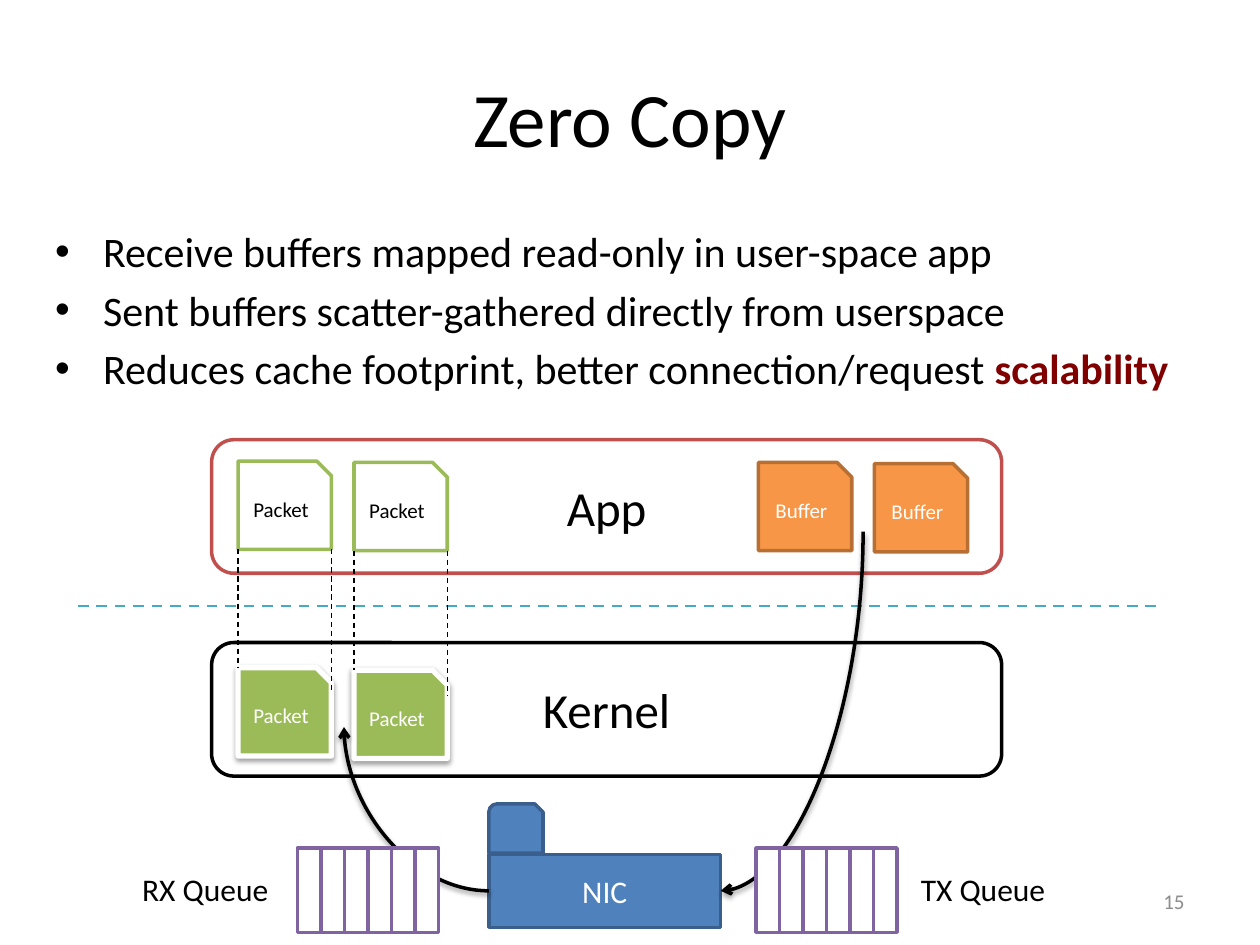
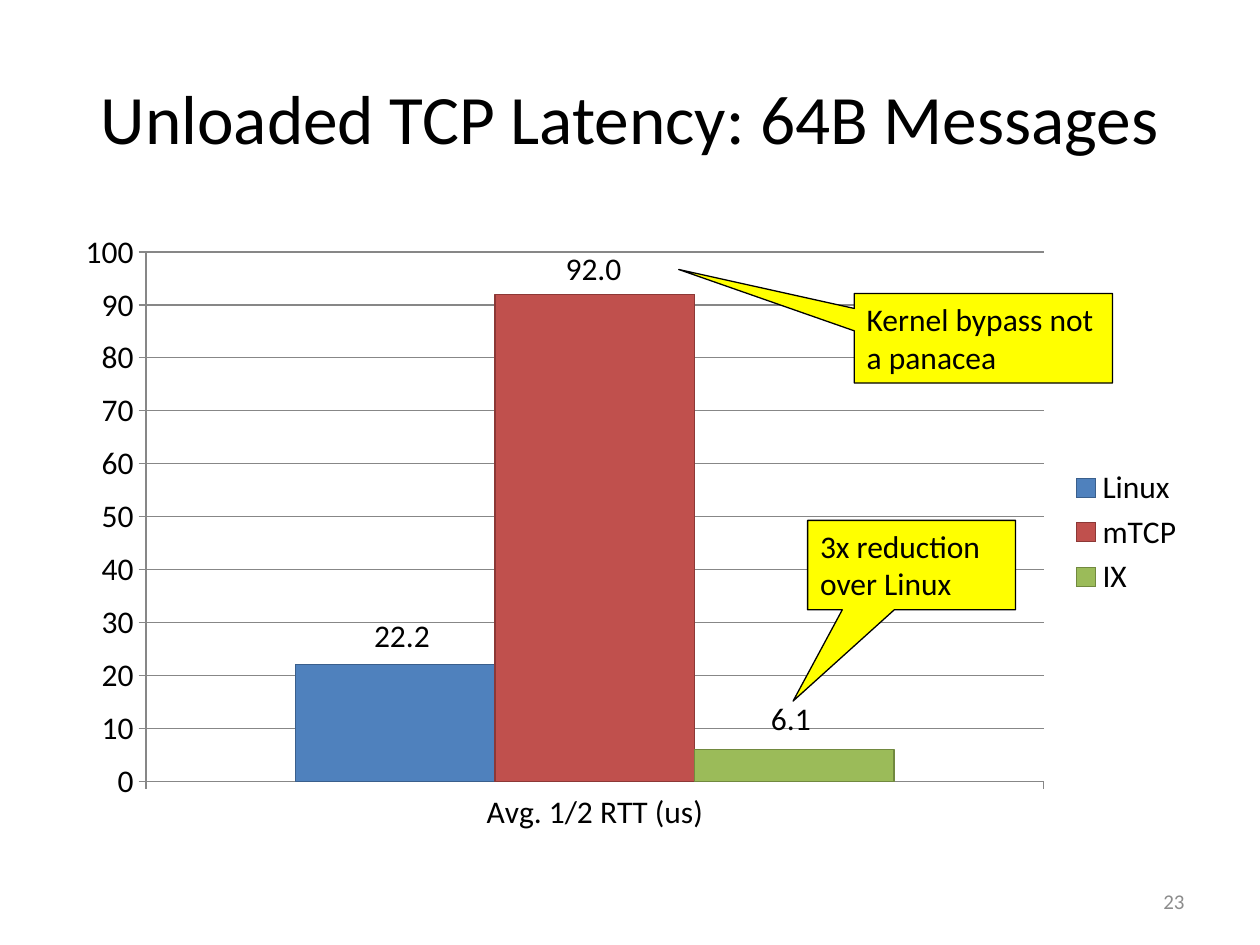
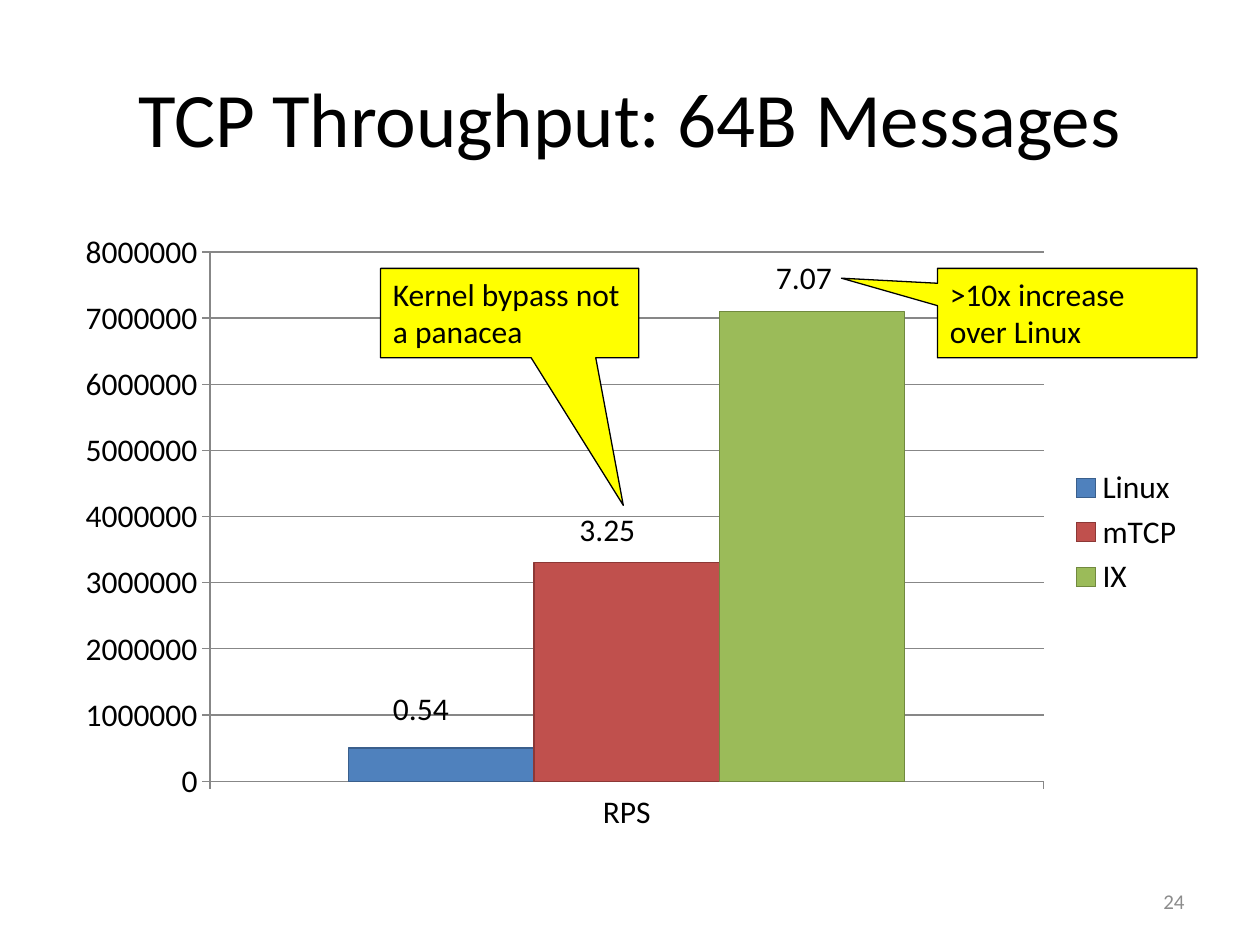
from lxml.etree import SubElement
from pptx import Presentation
from pptx.chart.data import CategoryChartData
from pptx.dml.color import RGBColor
from pptx.enum.chart import XL_CHART_TYPE, XL_LEGEND_POSITION, XL_TICK_MARK
from pptx.enum.dml import MSO_LINE
from pptx.enum.shapes import MSO_CONNECTOR, MSO_SHAPE
from pptx.enum.text import MSO_ANCHOR, MSO_AUTO_SIZE, PP_ALIGN
from pptx.oxml.ns import qn
from pptx.util import Inches, Pt

FONT = "Calibri"
BLACK, WHITE, GRAY = "000000", "FFFFFF", "8C8C8C"
BLUE, RED, GREEN = "4F81BD", "C0504D", "9BBB59"
DARK_BLUE, DARK_RED, DARK_GREEN = "3A5F8C", "8C3836", "71893F"
ORANGE, DARK_ORANGE = "F79646", "B76F34"
PURPLE, TEAL, MAROON, YELLOW = "8064A2", "46AAC5", "800000", "FFFF00"
AXIS_GRAY = "878787"

SYSTEMS = [("Linux", BLUE, DARK_BLUE), ("mTCP", RED, DARK_RED), ("IX", GREEN, DARK_GREEN)]
PACKET_SIZE = (0.74, 0.7)
QUEUE_WIDTH, QUEUE_SLOTS = 1.12, 6


def color(hex_value):
    return RGBColor.from_string(hex_value)


def inches(*lengths):
    return [Inches(length) for length in lengths]


def set_all(target, **values):
    for name, value in values.items():
        setattr(target, name, value)


def set_font(font, size, hex_value=BLACK, **values):
    set_all(font, name=FONT, size=Pt(size), **values)
    font.color.rgb = color(hex_value)


def set_line(line, hex_value, width, dash=None):
    line.color.rgb = color(hex_value)
    set_all(line, width=Pt(width), dash_style=dash)


def add_effects(shape, shadow):
    """Give the shape its own effect list, empty or with a soft shadow below."""
    properties = shape._element.spPr
    for old in properties.findall(qn("a:effectLst")):
        properties.remove(old)
    effects = SubElement(properties, qn("a:effectLst"))
    if shadow:
        outer = SubElement(effects, qn("a:outerShdw"), blurRad=str(Pt(3.1)), dist=str(Pt(1.6)),
                           dir="5400000", rotWithShape="0")
        black = SubElement(outer, qn("a:srgbClr"), val=BLACK)
        SubElement(black, qn("a:alpha"), val="38000")


def write(frame, text, size, hex_value=BLACK, align=PP_ALIGN.LEFT):
    para = frame.paragraphs[0]
    para.alignment = align
    span = para.add_run()
    span.text = text
    set_font(span.font, size, hex_value)


def add_text(page, at, text, size, hex_value=BLACK, align=PP_ALIGN.LEFT, **frame_values):
    box = page.shapes.add_textbox(*inches(*at))
    set_all(box.text_frame, **{"word_wrap": True, **frame_values})
    write(box.text_frame, text, size, hex_value, align)


def add_label(page, at, text):
    add_text(page, at, text, 18, word_wrap=False, auto_size=MSO_AUTO_SIZE.SHAPE_TO_FIT_TEXT)


def add_box(page, kind, at, fill, outline, width=2, shadow=False):
    box = page.shapes.add_shape(kind, *inches(*at))
    box.fill.solid()
    box.fill.fore_color.rgb = color(fill)
    set_line(box.line, outline, width)
    add_effects(box, shadow)
    return box


def add_named_box(page, kind, at, text, size, text_color, fill, outline, **line_values):
    box = add_box(page, kind, at, fill, outline, **line_values)
    box.text_frame.vertical_anchor = MSO_ANCHOR.MIDDLE
    write(box.text_frame, text, size, text_color, PP_ALIGN.CENTER)


def add_callout(page, at, tip, text):
    callout = add_box(page, MSO_SHAPE.RECTANGULAR_CALLOUT, at, YELLOW, BLACK, 0.75)
    for index, offset in enumerate(tip):
        callout.adjustments[index] = offset
    set_all(callout.text_frame, vertical_anchor=MSO_ANCHOR.TOP, word_wrap=True)
    write(callout.text_frame, text, 18)


def add_dashes(page, start, end, hex_value, width):
    line = page.shapes.add_connector(MSO_CONNECTOR.STRAIGHT, *inches(*start, *end))
    set_line(line.line, hex_value, width, MSO_LINE.DASH)
    add_effects(line, shadow=False)


def add_curved_arrow(page, start, end, turn):
    """Draw a quarter curve that ends in an arrow; turn is its rotation in degrees."""
    middle_x, middle_y = (start[0] + end[0]) / 2, (start[1] + end[1]) / 2
    half_width, half_height = abs(end[0] - start[0]) / 2, abs(end[1] - start[1]) / 2
    if turn % 180:
        half_width, half_height = half_height, half_width
    curve = page.shapes.add_connector(
        MSO_CONNECTOR.CURVE, *inches(middle_x - half_width, middle_y - half_height,
                                     middle_x + half_width, middle_y + half_height))
    properties = curve._element.spPr
    properties.find(qn("a:prstGeom")).set("prst", "curvedConnector2")
    properties.find(qn("a:xfrm")).set("rot", str(turn * 60000))
    set_line(curve.line, BLACK, 2)
    SubElement(properties.find(qn("a:ln")), qn("a:tailEnd"), type="arrow")
    add_effects(curve, shadow=True)


def add_bullets(page, at, items):
    """Each item is a list of (text, font values) spans."""
    frame = page.shapes.add_textbox(*inches(*at)).text_frame
    frame.word_wrap = True
    for index, spans in enumerate(items):
        para = frame.add_paragraph() if index else frame.paragraphs[0]
        properties = para._p.get_or_add_pPr()
        properties.set("marL", str(Inches(0.38)))
        properties.set("indent", str(Inches(-0.38)))
        SubElement(properties, qn("a:buFont"), typeface="Arial")
        SubElement(properties, qn("a:buChar"), char="•")
        if index:
            para.space_before = Pt(4.8)
        for text, values in spans:
            span = para.add_run()
            span.text = text
            set_font(span.font, 24, **values)


def add_queue(page, left, label, label_at):
    slot_width = QUEUE_WIDTH / QUEUE_SLOTS
    for slot in range(QUEUE_SLOTS):
        at = (left + slot * slot_width, 6.73, slot_width, 0.67)
        add_box(page, MSO_SHAPE.RECTANGLE, at, WHITE, PURPLE)
    add_label(page, label_at, label)


def add_mapped_packet(page, left, app_top, kernel_top):
    """A packet in the kernel and its mapping in the app, joined by dashes."""
    width, height = PACKET_SIZE
    kind = MSO_SHAPE.SNIP_1_RECTANGLE
    add_named_box(page, kind, (left, kernel_top, width, height), "Packet", 12,
                  WHITE, GREEN, WHITE, width=3, shadow=True)
    add_named_box(page, kind, (left, app_top, width, height), "Packet", 12, BLACK, WHITE, GREEN)
    for x, bottom in ((left, kernel_top), (left + width, kernel_top + 0.2)):
        add_dashes(page, (x, app_top + height), (x, bottom), BLACK, 0.75)


def add_system_chart(page, category, values, top, step):
    data = CategoryChartData()
    data.categories = [category]
    for (name, _, _), value in zip(SYSTEMS, values):
        data.add_series(name, [value])
    chart = page.shapes.add_chart(XL_CHART_TYPE.COLUMN_CLUSTERED,
                                  *inches(0.5, 1.75, 9, 4.95), data).chart
    set_font(chart.font, 18)
    set_all(chart, has_title=False, has_legend=True)
    set_all(chart.legend, position=XL_LEGEND_POSITION.RIGHT, include_in_layout=False)
    set_all(chart.plots[0], gap_width=150, overlap=0, vary_by_categories=False)
    for series, (_, fill, outline) in zip(chart.plots[0].series, SYSTEMS):
        series.format.fill.solid()
        series.format.fill.fore_color.rgb = color(fill)
        set_line(series.format.line, outline, 0.75)
    for axis in (chart.category_axis, chart.value_axis):
        set_all(axis, major_tick_mark=XL_TICK_MARK.OUTSIDE, minor_tick_mark=XL_TICK_MARK.NONE)
        set_line(axis.format.line, AXIS_GRAY, 0.75)
    set_all(chart.value_axis, minimum_scale=0, maximum_scale=top, major_unit=step,
            has_major_gridlines=True)
    set_line(chart.value_axis.major_gridlines.format.line, AXIS_GRAY, 0.75)


def add_page(deck, title, number, title_size=44):
    page = deck.slides.add_slide(deck.slide_layouts[6])
    add_text(page, (0.5, 0.3, 9, 1.25), title, title_size, align=PP_ALIGN.CENTER,
             vertical_anchor=MSO_ANCHOR.MIDDLE)
    add_text(page, (7.17, 6.95, 2.33, 0.4), str(number), 12, GRAY, PP_ALIGN.RIGHT,
             vertical_anchor=MSO_ANCHOR.MIDDLE)
    return page


def add_zero_copy_page(deck):
    page = add_page(deck, "Zero Copy", 15)
    add_bullets(page, (0.34, 1.74, 9.27, 1.67), [
        [("Receive buffers mapped read-only in user-space app", {})],
        [("Sent buffers scatter-gathered directly from userspace", {})],
        [("Reduces cache footprint, better connection/request ", {}),
         ("scalability", {"hex_value": MAROON, "bold": True})],
    ])
    add_dashes(page, (0.62, 4.81), (9.2, 4.81), TEAL, 1.5)
    for name, top, outline in (("Kernel", 5.1, BLACK), ("App", 3.49, RED)):
        add_named_box(page, MSO_SHAPE.ROUNDED_RECTANGLE, (1.68, top, 6.27, 1.06),
                      name, 28, BLACK, WHITE, outline)
    add_mapped_packet(page, 1.89, 3.66, 5.3)
    add_mapped_packet(page, 2.81, 3.67, 5.32)
    for left, top in ((6.02, 3.67), (6.94, 3.68)):
        add_named_box(page, MSO_SHAPE.SNIP_1_RECTANGLE, (left, top, *PACKET_SIZE),
                      "Buffer", 12, WHITE, ORANGE, DARK_ORANGE)
    add_named_box(page, MSO_SHAPE.RECTANGLE, (3.88, 6.78, 1.84, 0.58),
                  "NIC", 18, WHITE, BLUE, DARK_BLUE)
    add_box(page, MSO_SHAPE.SNIP_ROUND_RECTANGLE, (3.88, 6.38, 0.43, 0.39), BLUE, DARK_BLUE)
    add_curved_arrow(page, (3.88, 7.07), (2.73, 5.77), 180)
    add_curved_arrow(page, (6.85, 4.22), (5.72, 7.07), 90)
    add_queue(page, 2.36, "RX Queue", (1.03, 6.86, 1.21, 0.4))
    add_queue(page, 6, "TX Queue", (7.21, 6.86, 1.2, 0.4))


def add_latency_page(deck):
    page = add_page(deck, "Unloaded TCP Latency: 64B Messages", 23, 39.6)
    add_system_chart(page, "Avg. 1/2 RTT (us)", (22, 92, 6), 100, 10)
    add_label(page, (2.87, 4.84, 0.65, 0.4), "22.2")
    add_label(page, (4.39, 1.93, 0.65, 0.4), "92.0")
    add_label(page, (6.02, 5.5, 0.52, 0.4), "6.1")
    add_callout(page, (6.41, 4.13, 1.65, 0.71), (-0.57, 1.52), "3x reduction over Linux")
    add_callout(page, (6.78, 2.33, 2.05, 0.71), (-1.18, -0.77), "Kernel bypass not a panacea")


def add_throughput_page(deck):
    page = add_page(deck, "TCP Throughput: 64B Messages", 24)
    add_system_chart(page, "RPS", (500000, 3300000, 7100000), 8000000, 1000000)
    add_label(page, (3.02, 5.42, 0.65, 0.4), "0.54")
    add_label(page, (4.5, 4, 0.65, 0.4), "3.25")
    add_label(page, (6.06, 2, 0.65, 0.4), "7.07")
    add_callout(page, (3.02, 2.13, 2.05, 0.71), (0.44, 2.15), "Kernel bypass not a panacea")
    add_callout(page, (7.44, 2.13, 2.06, 0.71), (-0.87, -0.39), ">10x increase over Linux")


def main():
    deck = Presentation()
    set_all(deck, slide_width=Inches(10), slide_height=Inches(7.5))
    add_zero_copy_page(deck)
    add_latency_page(deck)
    add_throughput_page(deck)
    deck.save("out.pptx")


if __name__ == "__main__":
    main()
